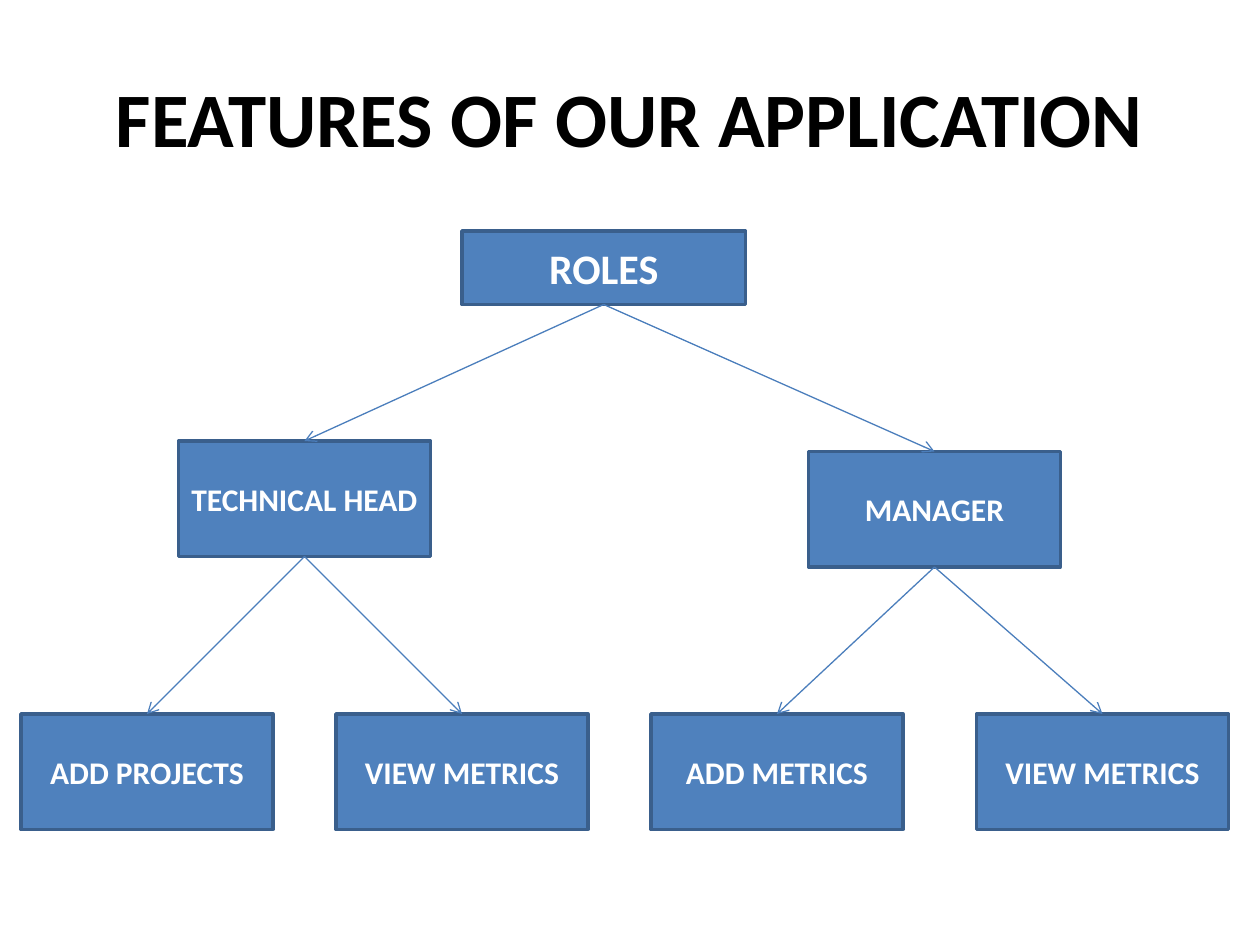
from dataclasses import dataclass

from lxml import etree
from pptx import Presentation
from pptx.dml.color import RGBColor
from pptx.enum.shapes import MSO_CONNECTOR, MSO_SHAPE
from pptx.enum.text import MSO_ANCHOR, PP_ALIGN
from pptx.oxml.ns import qn
from pptx.util import Pt

RECTANGLE = MSO_SHAPE.RECTANGLE
STRAIGHT = MSO_CONNECTOR.STRAIGHT
MIDDLE = MSO_ANCHOR.MIDDLE
CENTER = PP_ALIGN.CENTER
TITLE_ONLY = 5
TOP_SITE, BOTTOM_SITE = 0, 2


@dataclass(frozen=True)
class Theme:
    """Colours, font and sizes of the slide."""
    font: str = "Calibri"
    title_color: RGBColor = RGBColor(0x00, 0x00, 0x00)
    box_text: RGBColor = RGBColor(0xFF, 0xFF, 0xFF)
    box_fill: RGBColor = RGBColor(0x4F, 0x81, 0xBD)
    box_line: RGBColor = RGBColor(0x3A, 0x5F, 0x8C)
    arrow: RGBColor = RGBColor(0x4B, 0x7E, 0xBC)
    title_size: int = 44
    root_size: int = 24
    box_size: int = 18


theme = Theme()


def write_text(shape, text, size, color):
    """Put one bold, centred line of text into a shape."""
    frame = shape.text_frame
    frame.text = text
    frame.word_wrap = True
    frame.vertical_anchor = MIDDLE
    paragraph = frame.paragraphs[0]
    paragraph.alignment = CENTER
    paragraph.font.name = theme.font
    paragraph.font.size = Pt(size)
    paragraph.font.bold = True
    paragraph.font.color.rgb = color


presentation = Presentation()
presentation.slide_width = Pt(720)
presentation.slide_height = Pt(540)
slide = presentation.slides.add_slide(presentation.slide_layouts[TITLE_ONLY])

title = slide.shapes.title
title.left, title.top, title.width, title.height = Pt(36), Pt(21.6), Pt(648), Pt(90)
write_text(title, "FEATURES OF OUR APPLICATION", theme.title_size, theme.title_color)

# Each role: key, parent, label, left, top
BOX_SIZE = (144, 66)
ROOT_SIZE = (162, 42)
LEAF_TOP = 408
nodes = [
    ("roles", None, "ROLES", 264, 132),
    ("head", "roles", "TECHNICAL HEAD", 102, 252),
    ("manager", "roles", "MANAGER", 462, 258),
    ("head add", "head", "ADD PROJECTS", 12, LEAF_TOP),
    ("head view", "head", "VIEW METRICS", 192, LEAF_TOP),
    ("manager add", "manager", "ADD METRICS", 372, LEAF_TOP),
    ("manager view", "manager", "VIEW METRICS", 558, LEAF_TOP),
]

boxes = {}
for key, parent, label, left, top in nodes:
    width, height = BOX_SIZE if parent else ROOT_SIZE
    box = slide.shapes.add_shape(RECTANGLE, Pt(left), Pt(top), Pt(width), Pt(height))
    box.shadow.inherit = False
    box.fill.solid()
    box.fill.fore_color.rgb = theme.box_fill
    box.line.color.rgb = theme.box_line
    box.line.width = Pt(2)
    write_text(box, label, theme.box_size if parent else theme.root_size, theme.box_text)
    boxes[key] = box

# Arrows run from each parent's bottom centre to its child's top centre
for key, parent, *_ in nodes:
    if parent is None:
        continue
    arrow = slide.shapes.add_connector(STRAIGHT, 0, 0, 0, 0)
    arrow.begin_connect(boxes[parent], BOTTOM_SITE)
    arrow.end_connect(boxes[key], TOP_SITE)
    arrow.line.color.rgb = theme.arrow
    arrow.line.width = Pt(0.75)
    etree.SubElement(arrow.line._get_or_add_ln(), qn("a:tailEnd"), type="arrow")
    etree.SubElement(arrow._element.spPr, qn("a:effectLst"))

presentation.save("out.pptx")
